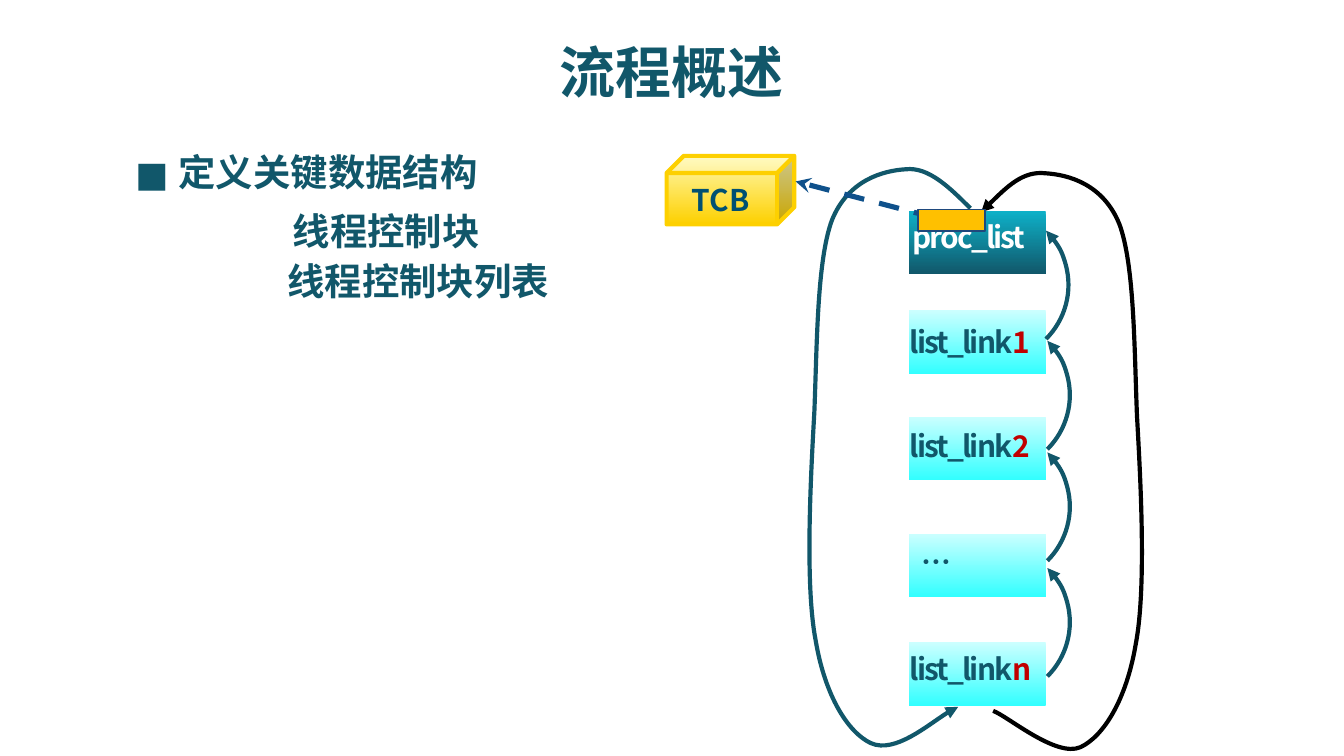
from dataclasses import dataclass
from typing import Any

from lxml.etree import SubElement
from pptx import Presentation
from pptx.dml.color import RGBColor
from pptx.enum.dml import MSO_LINE
from pptx.enum.shapes import MSO_CONNECTOR, MSO_SHAPE as Preset
from pptx.enum.text import MSO_AUTO_SIZE as AutoSize, PP_ALIGN as Align
from pptx.oxml.ns import qn
from pptx.util import Emu, Pt

PX = 9144  # 100 px to the inch
SLIDE_WIDTH = Emu(1000 * PX)
SLIDE_HEIGHT = Emu(SLIDE_WIDTH * 9 // 16)

TEAL = RGBColor(0x11, 0x57, 0x6A)
BRIGHT_TEAL = RGBColor(0x0E, 0xB1, 0xC8)
PALE_CYAN = RGBColor(0xCC, 0xFF, 0xFF)
CYAN = RGBColor(0x33, 0xFF, 0xFF)
PALE_YELLOW = RGBColor(0xFF, 0xF9, 0xB1)
YELLOW = RGBColor(0xFD, 0xD0, 0x00)
AMBER = RGBColor(0xFF, 0xC0, 0x00)
DEEP_BLUE = RGBColor(0x00, 0x50, 0x72)
NAVY = RGBColor(0x1F, 0x49, 0x7D)
BLUE = RGBColor(0x0F, 0x51, 0x8B)
RED = RGBColor(0xC0, 0x00, 0x00)
WHITE = RGBColor(0xFF, 0xFF, 0xFF)
BLACK = RGBColor(0x00, 0x00, 0x00)

SANS_SC = "Noto Sans CJK SC"
SANS_JP = "Noto Sans CJK JP"

Box = tuple[int, int, int, int]
Point = tuple[int, int]


@dataclass(frozen=True)
class Label:
    text: str
    box: Box
    size: int
    color: RGBColor = TEAL
    font: str = SANS_SC
    wrap: bool = True
    align: Any = None
    indent: Point | None = None  # left margin and first line
    suffix: str = ""
    tight: bool = False


@dataclass(frozen=True)
class Block:
    box: Box
    colors: tuple[RGBColor, RGBColor]
    preset: Any = Preset.RECTANGLE


TITLES = [
    Label("流程概述", (0, 23, 1000, 60), 30, align=Align.CENTER),
    Label("定义关键数据结构", (123, 106, 290, 44), 20),
    Label("■", (91, 112, 45, 40), 18, font=SANS_JP, wrap=False),
    Label("线程控制块", (207, 150, 266, 44), 20, indent=(1, 0)),
    Label("线程控制块列表", (154, 187, 314, 45), 20, indent=(0, 50)),
]
TCB_BLOCK = Block((496, 116, 95, 51), (PALE_YELLOW, YELLOW), Preset.CUBE)
TCB_LABEL = Label("TCB", (505, 130, 69, 37), 16, DEEP_BLUE)

LIST_BLOCKS = [Block((676, 157, 102, 47), (BRIGHT_TEAL, TEAL))] + [
    Block((676, top, 102, 47), (PALE_CYAN, CYAN)) for top in (231, 310, 397, 478)
]
LIST_LABELS = [
    Label("proc_list", (669, 158, 113, 37), 16, WHITE, wrap=False, tight=True),
    *(
        Label("list_link", (667, top, 118, 37), 16, wrap=False, suffix=suffix, tight=True)
        for suffix, top in (("1", 236), ("2", 313), ("n", 479))
    ),
]
ELLIPSIS_LABEL = Label("…", (676, 400, 41, 37), 16, wrap=False, tight=True)
ARC_CORNERS = [(681, 155), (682, 237), (682, 320), (682, 406)]

# Start point, then three Bezier points for each segment
LEFT_LOOP = [
    (722, 155),
    (707, 140), (691, 124), (674, 126),
    (657, 127), (631, 134), (619, 164),
    (608, 194), (608, 254), (606, 306),
    (603, 359), (599, 436), (607, 477),
    (614, 518), (631, 545), (648, 553),
    (666, 561), (702, 530), (713, 526),
]
RIGHT_LOOP = [(1452 - x, y + 3) for x, y in LEFT_LOOP]


def scaled(values: tuple[int, ...]) -> list[Emu]:
    return [Emu(value * PX) for value in values]


def set_format(target: Any, values: dict[str, Any]) -> None:
    for name, value in values.items():
        setattr(target, name, value)


def style_line(shape: Any, color: RGBColor, width: float, **ends: str) -> None:
    """Colour a line; ends maps headEnd or tailEnd to an arrow type."""
    shape.line.color.rgb = color
    shape.line.width = Pt(width)
    for tag, kind in ends.items():
        SubElement(shape.line._get_or_add_ln(), qn(f"a:{tag}"), type=kind)


def add_run(paragraph: Any, label: Label, text: str, color: RGBColor) -> None:
    run = paragraph.add_run()
    run.text = text
    set_format(run.font, {"size": Pt(label.size), "bold": True, "name": label.font})
    run.font.color.rgb = color
    properties = run.font._element
    SubElement(properties, qn("a:ea"), typeface=label.font)
    if label.tight:
        properties.set("spc", "-100")


def add_label(slide: Any, label: Label) -> None:
    frame = slide.shapes.add_textbox(*scaled(label.box)).text_frame
    set_format(frame, {"word_wrap": label.wrap, "auto_size": AutoSize.SHAPE_TO_FIT_TEXT})
    paragraph = frame.paragraphs[0]
    if label.align is not None:
        paragraph.alignment = label.align
    if label.indent is not None:
        paragraph.level = 1
        properties = paragraph._p.get_or_add_pPr()
        for name, value in zip(("marL", "indent"), scaled(label.indent)):
            properties.set(name, str(value))
    add_run(paragraph, label, label.text, label.color)
    if label.suffix:
        add_run(paragraph, label, label.suffix, RED)


def add_block(slide: Any, block: Block) -> Any:
    shape = slide.shapes.add_shape(block.preset, *scaled(block.box))
    shape.shadow.inherit = False
    shape.fill.gradient()
    shape.fill.gradient_angle = 270
    for stop, position, color in zip(shape.fill.gradient_stops, (0, 1), block.colors):
        stop.position = position
        stop.color.rgb = color
    shape.line.fill.background()
    return shape


def add_arc(slide: Any, corner: Point) -> None:
    arc = slide.shapes.add_shape(Preset.ARC, *scaled((*corner, 114, 114)))
    arc.rotation = 45
    arc.shadow.inherit = False
    arc.fill.background()
    style_line(arc, TEAL, 2.25, headEnd="triangle")


def add_loop(slide: Any, points: list[Point], color: RGBColor, arrow_end: str) -> None:
    builder = slide.shapes.build_freeform(*points[0], scale=PX)
    builder.add_line_segments(points[1:], close=False)
    loop = builder.convert_to_shape()
    loop.shadow.inherit = False
    loop.fill.background()
    style_line(loop, color, 2.25, **{arrow_end: "triangle"})
    # Join each three points into one curve
    outline = loop._element.find(".//" + qn("a:path"))
    lines = outline.findall(qn("a:lnTo"))
    for start in range(0, len(lines), 3):
        curve = SubElement(outline, qn("a:cubicBezTo"))
        for line in lines[start:start + 3]:
            curve.append(line[0])
            outline.remove(line)


def add_pointer(slide: Any) -> None:
    pointer = slide.shapes.add_connector(
        MSO_CONNECTOR.STRAIGHT, *scaled((592, 135, 684, 159)))
    pointer.line.dash_style = MSO_LINE.DASH
    style_line(pointer, BLUE, 2.75, headEnd="stealth")
    SubElement(pointer._element.spPr, qn("a:effectLst"))


def main() -> None:
    presentation = Presentation()
    set_format(presentation, {"slide_width": SLIDE_WIDTH, "slide_height": SLIDE_HEIGHT})
    slide = presentation.slides.add_slide(presentation.slide_layouts[6])

    # Title and outline
    for label in TITLES:
        add_label(slide, label)

    # Thread control block
    style_line(add_block(slide, TCB_BLOCK), YELLOW, 2.25)
    add_label(slide, TCB_LABEL)

    # Linked list
    for block in LIST_BLOCKS:
        add_block(slide, block)
    for label in LIST_LABELS:
        add_label(slide, label)
    for corner in ARC_CORNERS:
        add_arc(slide, corner)
    add_loop(slide, LEFT_LOOP, TEAL, "tailEnd")
    add_loop(slide, RIGHT_LOOP, BLACK, "headEnd")
    add_label(slide, ELLIPSIS_LABEL)

    # Pointer from the list head to the control block
    add_pointer(slide)
    pointer_field = slide.shapes.add_shape(Preset.RECTANGLE, *scaled((683, 156, 50, 16)))
    pointer_field.shadow.inherit = False
    pointer_field.fill.solid()
    pointer_field.fill.fore_color.rgb = AMBER
    style_line(pointer_field, NAVY, 0.75)

    presentation.save("out.pptx")


if __name__ == "__main__":
    main()
